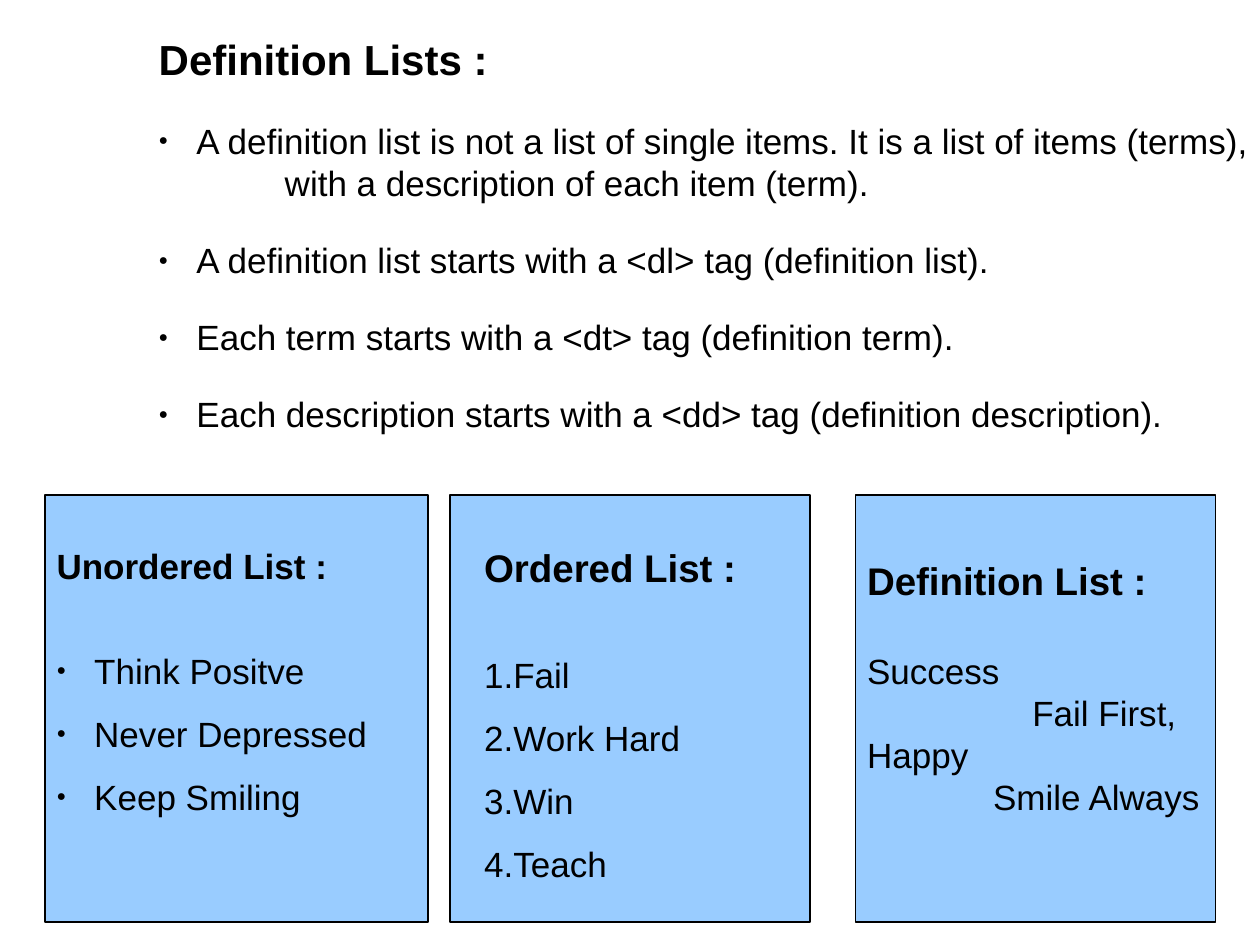
from dataclasses import dataclass

from lxml import etree
from pptx import Presentation
from pptx.dml.color import RGBColor
from pptx.enum.shapes import MSO_SHAPE
from pptx.enum.text import MSO_ANCHOR, MSO_AUTO_SIZE, PP_ALIGN
from pptx.oxml.ns import qn
from pptx.util import Cm, Pt

RECT = MSO_SHAPE.RECTANGLE
TOP = MSO_ANCHOR.TOP
LEFT = PP_ALIGN.LEFT
FIXED = MSO_AUTO_SIZE.NONE

FONT = "Arial"
BLACK = "000000"
BLUE = "99CCFF"
HANG = 0.76
PANEL_TOP, PANEL_HIGH = 9.98, 8.61


@dataclass
class Box:
    left: float
    top: float
    width: float
    height: float


@dataclass
class Line:
    text: str
    size: float = 20
    bold: bool = False
    bullet: bool = False
    indent: float = 0
    before: float = 0
    after: float = 0
    pitch: float = 1.0


@dataclass
class Panel:
    left: float
    width: float
    box: Box
    lines: list[Line]


def color(code: str) -> RGBColor:
    return RGBColor.from_string(code)


def mark(para, line: Line) -> None:
    """Set the indent and the bullet, which python-pptx does not offer."""
    props = para._p.get_or_add_pPr()
    margin = HANG if line.bullet else line.indent
    props.set("marL", str(int(Cm(margin))))
    props.set("indent", str(int(Cm(-HANG if line.bullet else 0))))
    if not line.bullet:
        etree.SubElement(props, qn("a:buNone"))
        return
    tint = etree.SubElement(props, qn("a:buClr"))
    etree.SubElement(tint, qn("a:srgbClr"), val=BLACK)
    etree.SubElement(props, qn("a:buSzPct"), val="45000")
    etree.SubElement(props, qn("a:buFont"), typeface=FONT)
    etree.SubElement(props, qn("a:buChar"), char="●")


def write(shape, lines: list[Line]) -> None:
    frame = shape.text_frame
    frame.auto_size = FIXED
    frame.word_wrap = True
    frame.vertical_anchor = TOP
    frame.margin_left, frame.margin_right = Cm(0.23), Cm(0)
    frame.margin_top = frame.margin_bottom = Cm(0.1)
    for num, line in enumerate(lines):
        para = frame.add_paragraph() if num else frame.paragraphs[0]
        para.alignment = LEFT
        para.line_spacing = line.pitch
        para.space_before = Pt(line.before)
        para.space_after = Pt(line.after)
        mark(para, line)
        run = para.add_run()
        run.text = line.text
        run.font.name = FONT
        run.font.size = Pt(line.size)
        run.font.bold = line.bold
        run.font.color.rgb = color(BLACK)


def place(shape, box: Box) -> None:
    shape.left, shape.top = Cm(box.left), Cm(box.top)
    shape.width, shape.height = Cm(box.width), Cm(box.height)


def draw_panel(slide, panel: Panel) -> None:
    rect = slide.shapes.add_shape(
        RECT, Cm(panel.left), Cm(PANEL_TOP), Cm(panel.width), Cm(PANEL_HIGH))
    rect.shadow.inherit = False
    rect.fill.solid()
    rect.fill.fore_color.rgb = color(BLUE)
    rect.line.color.rgb = color(BLACK)
    rect.line.width = Pt(0.75)


def draw_text(slide, panel: Panel) -> None:
    box = panel.box
    text = slide.shapes.add_textbox(
        Cm(box.left), Cm(box.top), Cm(box.width), Cm(box.height))
    write(text, panel.lines)


def point(text: str, after: float = 9.1) -> Line:
    return Line(text, bullet=True, before=10.9, after=after)


def head(text: str, size: float, after: float) -> Line:
    return Line(text, size, bold=True, after=after)


POINTS = [
    point("A definition list is not a list of single items. "
          "It is a list of items (terms),", after=0),
    Line("with a description of each item (term).", indent=2.54, after=9.1),
    point("A definition list starts with a <dl> tag (definition list)."),
    point("Each term starts with a <dt> tag (definition term)."),
    point("Each description starts with a <dd> tag (definition description)."),
]

GOALS = ["Think Positve", "Never Depressed", "Keep Smiling"]
STEPS = ["Fail", "Work Hard", "Win", "Teach"]

PANELS = [
    Panel(0.91, 7.72, Box(0.91, 10.87, 7.26, 5.79),
          [head("Unordered List :", 20, 24)]
          + [Line(goal, bullet=True, pitch=1.5) for goal in GOALS]),
    Panel(9.07, 7.26, Box(9.53, 10.87, 6.81, 7.59),
          [head("Ordered List :", 22, 24)]
          + [Line(f"{num}.{step}", pitch=1.5)
             for num, step in enumerate(STEPS, 1)]),
    Panel(17.25, 7.26, Box(17.25, 11.13, 7.26, 5.66),
          [head("Definition List :", 22, 26.4),
           Line("Success"), Line("Fail First,", indent=3.33),
           Line("Happy"), Line("Smile Always", indent=2.54)]),
]


def main() -> None:
    deck = Presentation()
    deck.slide_width, deck.slide_height = Cm(25.4), Cm(19.05)
    slide = deck.slides.add_slide(deck.slide_layouts[1])
    title, body = slide.shapes.title, slide.placeholders[1]
    place(title, Box(2.97, 0.58, 22.43, 1.3))
    write(title, [Line("Definition Lists :", 24, bold=True)])
    place(body, Box(2.97, 2.31, 22.43, 7.2))
    write(body, POINTS)
    for panel in PANELS:
        draw_panel(slide, panel)
    for panel in PANELS:
        draw_text(slide, panel)
    deck.save("out.pptx")


if __name__ == "__main__":
    main()
